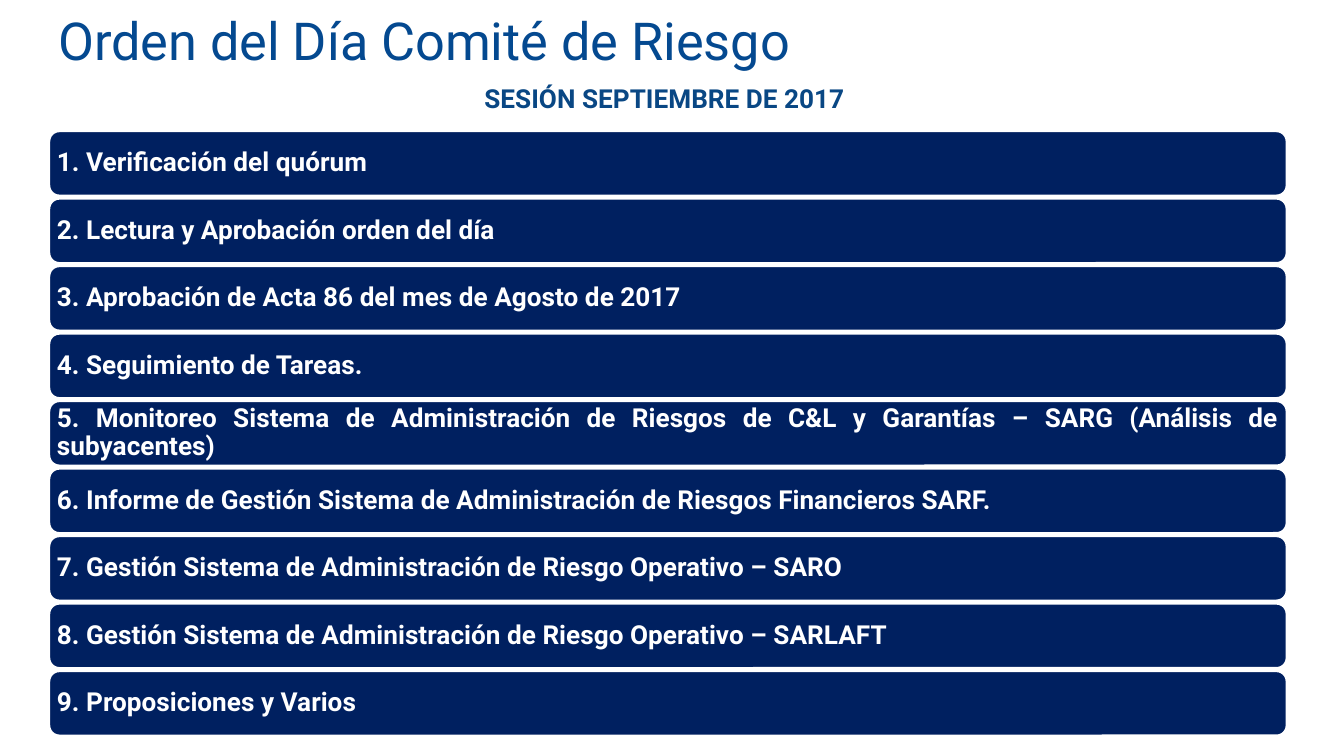
from pptx import Presentation
from pptx.dml.color import RGBColor
from pptx.enum.shapes import MSO_SHAPE
from pptx.enum.text import MSO_ANCHOR, PP_ALIGN
from pptx.util import Inches, Pt

ROUND = MSO_SHAPE.ROUNDED_RECTANGLE
TOP, MIDDLE = MSO_ANCHOR.TOP, MSO_ANCHOR.MIDDLE
LEFT, CENTER, JUSTIFY = PP_ALIGN.LEFT, PP_ALIGN.CENTER, PP_ALIGN.JUSTIFY

NAVY = RGBColor(0x00, 0x20, 0x60)
WHITE = RGBColor(0xFF, 0xFF, 0xFF)
BLUE = RGBColor(0x04, 0x49, 0x90)
STEEL = RGBColor(0x09, 0x47, 0x84)
FONT = "Roboto"

ITEMS = [
    "Verificación del quórum",
    "Lectura y Aprobación orden del día",
    "Aprobación de Acta 86 del mes de Agosto de 2017",
    "Seguimiento de Tareas.",
    "Monitoreo Sistema de Administración de Riesgos de C&L y Garantías – SARG"
    " (Análisis de subyacentes)",
    "Informe de Gestión Sistema de Administración de Riesgos Financieros SARF.",
    "Gestión Sistema de Administración de Riesgo Operativo – SARO",
    "Gestión Sistema de Administración de Riesgo Operativo – SARLAFT",
    "Proposiciones y Varios",
]
LONG = 5  # the item that fills two lines


def write(shape, text, size, color, bold, align, anchor, inset, wrap, spacing):
    frame = shape.text_frame
    frame.text = text
    frame.word_wrap = wrap
    frame.vertical_anchor = anchor
    frame.margin_left = frame.margin_right = Inches(inset)
    frame.margin_top = frame.margin_bottom = Inches(inset)
    para = frame.paragraphs[0]
    para.alignment = align
    para.line_spacing = spacing
    font = para.runs[0].font
    font.name, font.size, font.bold = FONT, Pt(size), bold
    font.color.rgb = color


def add_title(slide, x, y, w, h):
    box = slide.shapes.add_textbox(Inches(x), Inches(y), Inches(w), Inches(h))
    write(box, "Orden del Día Comité de Riesgo", 28, BLUE, False,
          CENTER, MIDDLE, 0.19, False, 1.0)


def add_session(slide, x, y, w, h):
    box = slide.shapes.add_textbox(Inches(x), Inches(y), Inches(w), Inches(h))
    write(box, "SESIÓN SEPTIEMBRE DE 2017", 14, STEEL, True,
          CENTER, TOP, 0, True, Pt(17))


def add_agenda(slide, x, y, w, h, gap=0.01):
    # Equal bars stacked to fill the box
    pitch = (h + gap) / len(ITEMS)
    for num, item in enumerate(ITEMS, 1):
        top = y + (num - 1) * pitch
        bar = slide.shapes.add_shape(
            ROUND, Inches(x), Inches(top), Inches(w), Inches(pitch - gap))
        bar.shadow.inherit = False
        bar.fill.solid()
        bar.fill.fore_color.rgb = NAVY
        bar.line.color.rgb = WHITE
        bar.line.width = Pt(2)
        # The rounded corners add about 0.02 to the inset
        write(bar, f"{num}. {item}", 14, WHITE, True,
              JUSTIFY if num == LONG else LEFT, MIDDLE, 0.04, True, 0.9)


def main():
    prs = Presentation()
    # Widescreen, 16:9
    prs.slide_width = Inches(10)
    prs.slide_height = prs.slide_width * 9 // 16
    slide = prs.slides.add_slide(prs.slide_layouts[6])
    add_agenda(slide, 0.36, 0.97, 9.22, 4.51)
    add_title(slide, 0.13, 0, 6.05, 0.59)
    add_session(slide, 3.23, 0.61, 3.43, 0.17)
    prs.save("out.pptx")


if __name__ == "__main__":
    main()
